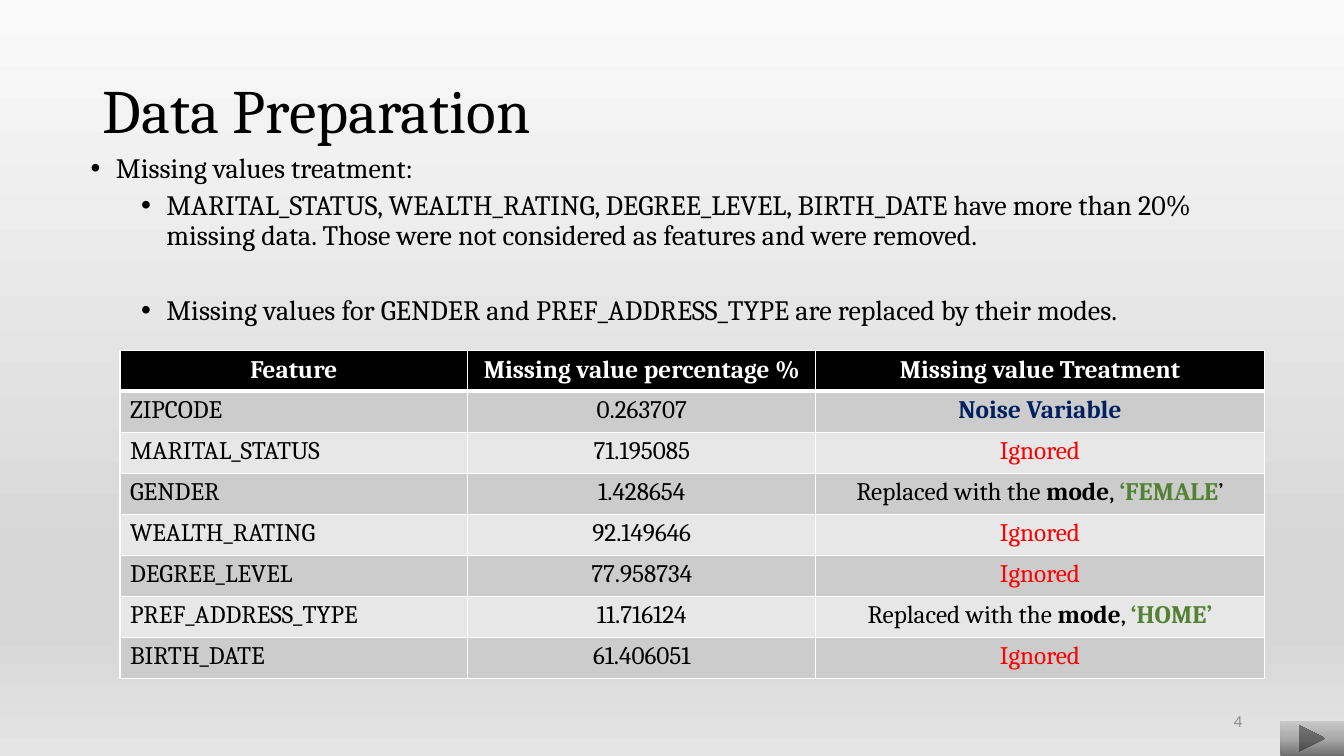
from dataclasses import dataclass

from lxml import etree
from pptx import Presentation
from pptx.dml.color import RGBColor
from pptx.enum.shapes import MSO_SHAPE
from pptx.enum.text import MSO_ANCHOR, MSO_AUTO_SIZE, PP_ALIGN
from pptx.oxml.ns import qn
from pptx.util import Inches, Pt

BLACK, WHITE, RED, GREEN, NAVY = "000000", "FFFFFF", "FF0000", "548235", "002060"
HEADER_HEIGHT, ROW_HEIGHT = 0.4, 0.407
BAND_FILLS = ("CCCCCC", "E7E7E7")
COLUMN_WIDTHS = (3.45, 3.45, 4.45)


@dataclass
class Run:
    """A stretch of text in one colour and weight."""
    text: str
    color: str = BLACK
    bold: bool = False


@dataclass
class Bullet:
    """A list item with its level and the space above it in points."""
    text: str
    level: int
    space_before: float


@dataclass
class Feature:
    """A table row: a feature and how its missing values are treated."""
    name: str
    percentage: str
    treatment: list[Run]


def rgb(color: str) -> RGBColor:
    """Turn a hex string into a colour."""
    return RGBColor.from_string(color)


def place(shape, left: float, top: float, width: float, height: float) -> None:
    """Set the position and size of a shape in inches."""
    shape.left, shape.top = Inches(left), Inches(top)
    shape.width, shape.height = Inches(width), Inches(height)


def add_runs(paragraph, runs: list[Run], size: float, font: str = "Cambria") -> None:
    """Append formatted runs to a paragraph."""
    for item in runs:
        run = paragraph.add_run()
        run.text = item.text
        run.font.name, run.font.size, run.font.bold = font, Pt(size), item.bold
        run.font.color.rgb = rgb(item.color)


def set_gradient(fill, root, stops: list[tuple[int, str]], angle: int) -> None:
    """Give a fill a linear gradient, with its angle counted anticlockwise."""
    fill.gradient()
    fill.gradient_angle = angle
    stop_list = root.find(".//" + qn("a:gsLst"))
    for old_stop in list(stop_list):
        stop_list.remove(old_stop)
    for percent, color in stops:
        stop = etree.SubElement(stop_list, qn("a:gs"), pos=str(percent * 1000))
        etree.SubElement(stop, qn("a:srgbClr"), val=color)


def add_bullet(paragraph, bullet: Bullet) -> None:
    """Write one list item with a round bullet and a hanging indent."""
    paragraph.level = bullet.level
    paragraph.line_spacing = 0.9
    paragraph.space_before = Pt(bullet.space_before)
    properties = paragraph._p.get_or_add_pPr()
    properties.set("marL", str(Inches(0.25 + 0.5 * bullet.level)))
    properties.set("indent", str(Inches(-0.25)))
    etree.SubElement(properties, qn("a:buFont"), typeface="Arial")
    etree.SubElement(properties, qn("a:buChar"), char="•")
    add_runs(paragraph, [Run(bullet.text)], 20)


def set_borders(cell, bottom: float = 1, top: float = 1) -> None:
    """Draw white borders around a cell, widths in points."""
    properties = cell._tc.get_or_add_tcPr()
    sides = (("L", 1), ("R", 1), ("T", top), ("B", bottom))
    for index, (side, width) in enumerate(sides):
        line = etree.Element(qn(f"a:ln{side}"), w=str(Pt(width)))
        solid = etree.SubElement(line, qn("a:solidFill"))
        etree.SubElement(solid, qn("a:srgbClr"), val=WHITE)
        properties.insert(index, line)


def fill_cell(cell, runs: list[Run], fill: str, align: PP_ALIGN) -> None:
    """Write the text of a cell and set its fill."""
    cell.fill.solid()
    cell.fill.fore_color.rgb = rgb(fill)
    paragraph = cell.text_frame.paragraphs[0]
    paragraph.alignment = align
    add_runs(paragraph, runs, 18)


def replaced_with(mode: list[Run]) -> list[Run]:
    """Describe a replacement by the mode."""
    return [Run("Replaced with the "), Run("mode", bold=True), Run(", "), *mode]


def add_feature_table(slide, headers: list[str], features: list[Feature]) -> None:
    """Add the table of missing values, with a black header and grey bands."""
    height = HEADER_HEIGHT + ROW_HEIGHT * len(features)
    table = slide.shapes.add_table(
        len(features) + 1, len(headers), Inches(1.19), Inches(3.48),
        Inches(sum(COLUMN_WIDTHS)), Inches(height)).table
    for column, width in zip(table.columns, COLUMN_WIDTHS):
        column.width = Inches(width)
    for index, row in enumerate(table.rows):
        row.height = Inches(ROW_HEIGHT if index else HEADER_HEIGHT)
    for column, header in enumerate(headers):
        cell = table.cell(0, column)
        fill_cell(cell, [Run(header, WHITE, True)], BLACK, PP_ALIGN.CENTER)
        set_borders(cell, bottom=3)
    for index, feature in enumerate(features):
        contents = ([Run(feature.name)], [Run(feature.percentage)], feature.treatment)
        for column, runs in enumerate(contents):
            cell = table.cell(index + 1, column)
            align = PP_ALIGN.CENTER if column else PP_ALIGN.LEFT
            fill_cell(cell, runs, BAND_FILLS[index % 2], align)
            set_borders(cell, top=1 if index else 3)


IGNORED = [Run("Ignored", RED)]
FEATURES = [
    Feature("ZIPCODE", "0.263707", [Run("Noise Variable", NAVY, True)]),
    Feature("MARITAL_STATUS", "71.195085", IGNORED),
    Feature("GENDER", "1.428654", replaced_with([Run("‘FEMALE", GREEN, True), Run("’")])),
    Feature("WEALTH_RATING", "92.149646", IGNORED),
    Feature("DEGREE_LEVEL", "77.958734", IGNORED),
    Feature("PREF_ADDRESS_TYPE", "11.716124", replaced_with([Run("‘HOME’", GREEN, True)])),
    Feature("BIRTH_DATE", "61.406051", IGNORED),
]
BULLETS = [
    Bullet("Missing values treatment:", 0, 10),
    Bullet("MARITAL_STATUS, WEALTH_RATING, DEGREE_LEVEL, BIRTH_DATE have more than 20% "
           "missing data. Those were not considered as features and were removed.", 1, 5),
    Bullet("Missing values for GENDER and PREF_ADDRESS_TYPE are replaced by their modes.",
           1, 31.5),
]

presentation = Presentation()
presentation.slide_width, presentation.slide_height = Inches(13.33), Inches(7.5)
slide = presentation.slides.add_slide(presentation.slide_layouts[1])
set_gradient(slide.background.fill, slide._element,
             [(0, "FAFAFA"), (74, "D7D7D7"), (83, "D7D7D7"), (100, "E4E4E4")], 270)

title = slide.shapes.title
place(title, 0.92, 0.4, 11.5, 1.45)
title.text_frame.vertical_anchor = MSO_ANCHOR.MIDDLE
heading = title.text_frame.paragraphs[0]
heading.alignment, heading.line_spacing = PP_ALIGN.LEFT, 0.9
add_runs(heading, [Run("Data Preparation")], 44)

body = slide.placeholders[1]
place(body, 0.8, 1.48, 12.04, 4.76)
frame = body.text_frame
frame.auto_size = MSO_AUTO_SIZE.NONE
for index, bullet in enumerate(BULLETS):
    add_bullet(frame.add_paragraph() if index else frame.paragraphs[0], bullet)

next_button = slide.shapes.add_shape(
    MSO_SHAPE.ACTION_BUTTON_FORWARD_OR_NEXT,
    Inches(12.7), Inches(7.15), Inches(0.63), Inches(0.35))
next_button.shadow.inherit = False
next_button.line.fill.background()
set_gradient(next_button.fill, next_button._element,
             [(0, "6F6F6F"), (48, "A8A8A8"), (100, "C9C9C9")], 90)

page_number = slide.shapes.add_textbox(Inches(9.42), Inches(6.95), Inches(3), Inches(0.4))
page_number.text_frame.word_wrap = True
page_number.text_frame.vertical_anchor = MSO_ANCHOR.MIDDLE
number_line = page_number.text_frame.paragraphs[0]
number_line.alignment = PP_ALIGN.RIGHT
add_runs(number_line, [Run("4", "8C8C8C")], 12, "Calibri")

add_feature_table(
    slide, ["Feature", "Missing value percentage %", "Missing value Treatment"], FEATURES)

presentation.save("out.pptx")
